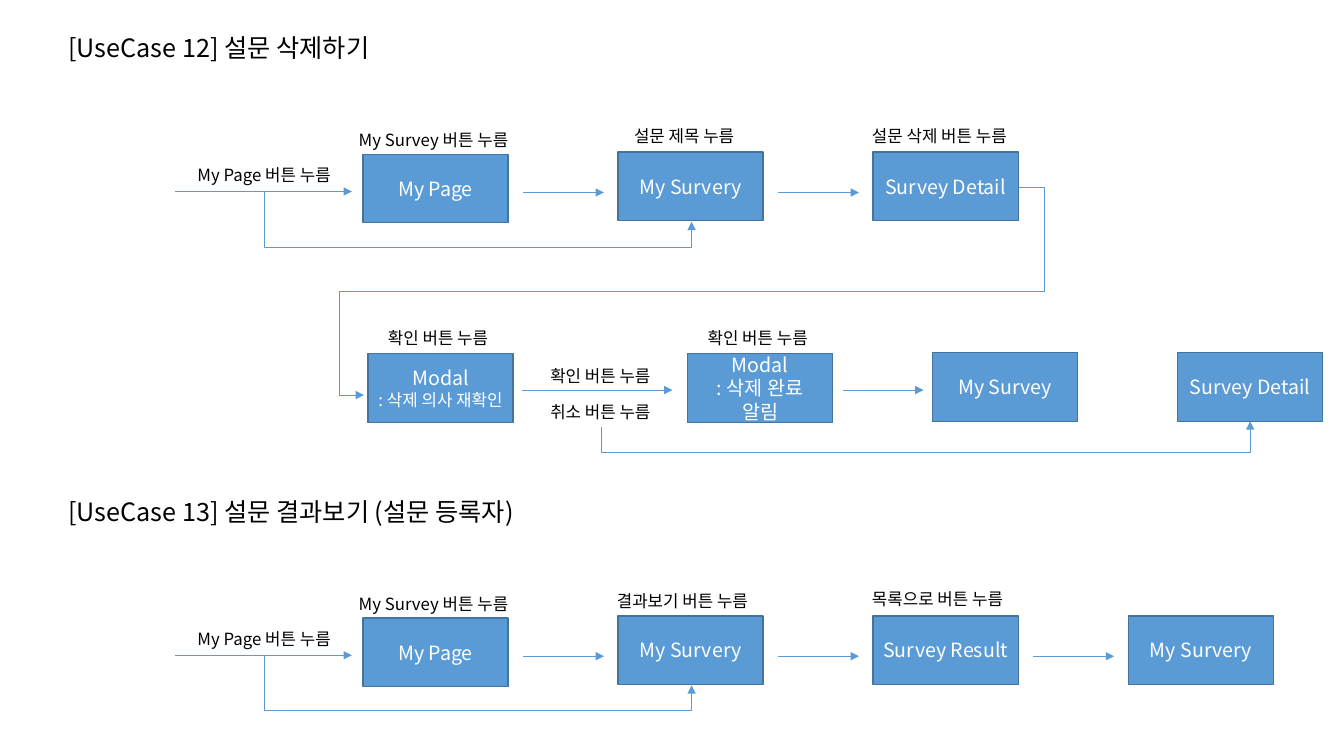
from typing import NamedTuple

from lxml.etree import SubElement
from pptx import Presentation
from pptx.dml.color import RGBColor
from pptx.enum.shapes import MSO_CONNECTOR, MSO_SHAPE
from pptx.enum.text import MSO_ANCHOR, MSO_AUTO_SIZE, PP_ALIGN
from pptx.oxml.ns import qn
from pptx.util import Inches, Pt

COLORS = {"box": "5B9BD5", "edge": "43739E", "flow": "5B9BD5",
          "ink": "000000", "on_box": "FFFFFF"}
FONT = "Noto Sans CJK KR"
BOX_W, BOX_H = 1.44, 0.68
FIRST_COLUMN, COLUMN_STEP = 3.6, 2.53
SHORT_ARROW = 0.8


class Screen(NamedTuple):
    left: float
    top: float
    name: str
    detail: str = ""
    detail_size: int = 14


class Label(NamedTuple):
    left: float
    top: float
    width: float
    text: str
    centered: bool = False
    wrap: bool = False


class Point(NamedTuple):
    x: float
    y: float


def color(key: str) -> RGBColor:
    return RGBColor.from_string(COLORS[key])


def column(index: int) -> float:
    return FIRST_COLUMN + index * COLUMN_STEP


def write(paragraph, text: str, *, size: int = 12, ink: str = "ink",
          centered: bool = False) -> None:
    paragraph.alignment = PP_ALIGN.CENTER if centered else PP_ALIGN.LEFT
    run = paragraph.add_run()
    run.text = text
    run.font.size = Pt(size)
    run.font.color.rgb = color(ink)
    run.font.name = FONT
    SubElement(run.font._element, qn("a:ea"), typeface=FONT)


def draw_label(slide, label: Label, size: int = 12, height: float = 0.3) -> None:
    frame = slide.shapes.add_textbox(Inches(label.left), Inches(label.top),
                                     Inches(label.width), Inches(height)).text_frame
    frame.word_wrap = label.wrap
    frame.auto_size = MSO_AUTO_SIZE.SHAPE_TO_FIT_TEXT
    write(frame.paragraphs[0], label.text, size=size, centered=label.centered)


def draw_screen(slide, screen: Screen) -> None:
    box = slide.shapes.add_shape(MSO_SHAPE.RECTANGLE, Inches(screen.left),
                                 Inches(screen.top), Inches(BOX_W), Inches(BOX_H))
    box.shadow.inherit = False
    box.fill.solid()
    box.fill.fore_color.rgb = color("box")
    box.line.color.rgb = color("edge")
    box.line.width = Pt(1)
    frame = box.text_frame
    frame.vertical_anchor = MSO_ANCHOR.MIDDLE
    frame.word_wrap = bool(screen.detail)
    write(frame.paragraphs[0], screen.name, size=14, ink="on_box", centered=True)
    if screen.detail:
        write(frame.add_paragraph(), screen.detail, size=screen.detail_size,
              ink="on_box", centered=True)


def draw_flow(slide, start: Point, end: Point, kind=MSO_CONNECTOR.STRAIGHT):
    flow = slide.shapes.add_connector(kind, Inches(start.x), Inches(start.y),
                                      Inches(end.x), Inches(end.y))
    flow.line.color.rgb = color("flow")
    flow.line.width = Pt(0.5)
    SubElement(flow.line._get_or_add_ln(), qn("a:tailEnd"), type="triangle")
    SubElement(flow._element.spPr, qn("a:effectLst"))
    return flow


def draw_arrow(slide, left: float, y: float, length: float = SHORT_ARROW) -> None:
    draw_flow(slide, Point(left, y), Point(left + length, y))


def bend(flow, preset: str, *ratios: float) -> None:
    geometry = flow._element.spPr.find(qn("a:prstGeom"))
    geometry.set("prst", preset)
    guides = geometry.find(qn("a:avLst"))
    if guides is None:
        guides = SubElement(geometry, qn("a:avLst"))
    for number, ratio in enumerate(ratios, 1):
        name = f"adj{number}"
        SubElement(guides, qn("a:gd"), name=name, fmla=f"val {round(ratio * 100000)}")


def draw_underpass(slide, start: Point, end: Point, floor: float) -> None:
    """Go down to the floor, right, then up to the end."""
    rise = end.y - start.y
    side = 1 if rise > 0 else -1
    mid_x, mid_y = (start.x + end.x) / 2, (start.y + end.y) / 2
    half_w, half_h = abs(rise) / 2, side * (end.x - start.x) / 2
    # The connector is laid sideways and turned about its centre
    flow = draw_flow(slide, Point(mid_x + half_w, mid_y - half_h),
                     Point(mid_x - half_w, mid_y + half_h), MSO_CONNECTOR.ELBOW)
    turn = 270 if rise > 0 else 90
    flow._element.spPr.find(qn("a:xfrm")).set("rot", str(turn * 60000))
    bend(flow, "bentConnector3", (floor - start.y) / rise)


def draw_return(slide, start: Point, end: Point, margin: float) -> None:
    """Leave to the right and come back in from the left on the next row."""
    flow = draw_flow(slide, start, end, MSO_CONNECTOR.ELBOW)
    ratio = margin / (start.x - end.x)
    bend(flow, "bentConnector5", -ratio, 0.5, 1 + ratio)


def draw_entry(slide, top: float, third: str) -> None:
    """Row from My Page to the third screen, with the shortcut below."""
    draw_screen(slide, Screen(column(0), top + 0.02, "My Page"))
    draw_screen(slide, Screen(column(1), top, "My Survery"))
    draw_screen(slide, Screen(column(2), top, third))
    draw_arrow(slide, 1.74, top + 0.39, 1.75)
    for index in range(2):
        draw_arrow(slide, column(index) + 1.59, top + 0.4)
    draw_underpass(slide, Point(2.62, top + 0.39), Point(6.86, top + 0.69), top + 0.94)
    draw_label(slide, Label(1.79, top + 0.08, 1.66, "My Page 버튼 누름", centered=True))
    draw_label(slide, Label(3.46, top - 0.27, 2.06, "My Survey 버튼 누름", wrap=True))


TITLES = [
    Label(0.58, 0.27, 3.26, "[UseCase 12] 설문 삭제하기"),
    Label(0.58, 4.87, 4.66, "[UseCase 13] 설문 결과보기 (설문 등록자)", wrap=True),
]
DELETE_SCREENS = [
    Screen(3.65, 3.51, "Modal", ": 삭제 의사 재확인", 12),
    Screen(6.82, 3.51, "Modal", ": 삭제 완료 알림"),
    Screen(9.25, 3.5, "My Survey"),
    Screen(11.68, 3.5, "Survey Detail"),
]
ACTIONS = [
    Label(6.19, 1.2, 1.33, "설문 제목 누름"),
    Label(8.55, 1.2, 1.73, "설문 삭제 버튼 누름"),
    Label(3.75, 3.2, 1.33, "확인 버튼 누름"),
    Label(6.92, 3.2, 1.33, "확인 버튼 누름"),
    Label(5.29, 3.58, 1.33, "확인 버튼 누름", centered=True),
    Label(5.29, 3.94, 1.33, "취소 버튼 누름", centered=True),
    Label(6.02, 5.81, 1.67, "결과보기 버튼 누름"),
    Label(8.55, 5.79, 1.67, "목록으로 버튼 누름"),
]


def main() -> None:
    deck = Presentation()
    deck.slide_width, deck.slide_height = Inches(13.33), Inches(7.5)
    slide = deck.slides.add_slide(deck.slide_layouts[6])

    for title in TITLES:
        draw_label(slide, title, size=18, height=0.4)

    # Use case 12: delete a survey
    draw_entry(slide, 1.51, "Survey Detail")
    for screen in DELETE_SCREENS:
        draw_screen(slide, screen)
    draw_return(slide, Point(10.11, 1.86), Point(3.61, 3.92), 0.25)
    draw_arrow(slide, 5.18, 3.87, 1.49)
    draw_arrow(slide, 8.36, 3.87)
    draw_underpass(slide, Point(5.96, 4.24), Point(12.4, 4.18), 4.49)

    # Use case 13: view the results
    draw_entry(slide, 6.11, "Survey Result")
    draw_screen(slide, Screen(column(3), 6.11, "My Survery"))
    draw_arrow(slide, column(2) + 1.59, 6.51)

    # Button presses
    for action in ACTIONS:
        draw_label(slide, action)

    deck.save("out.pptx")


if __name__ == "__main__":
    main()
